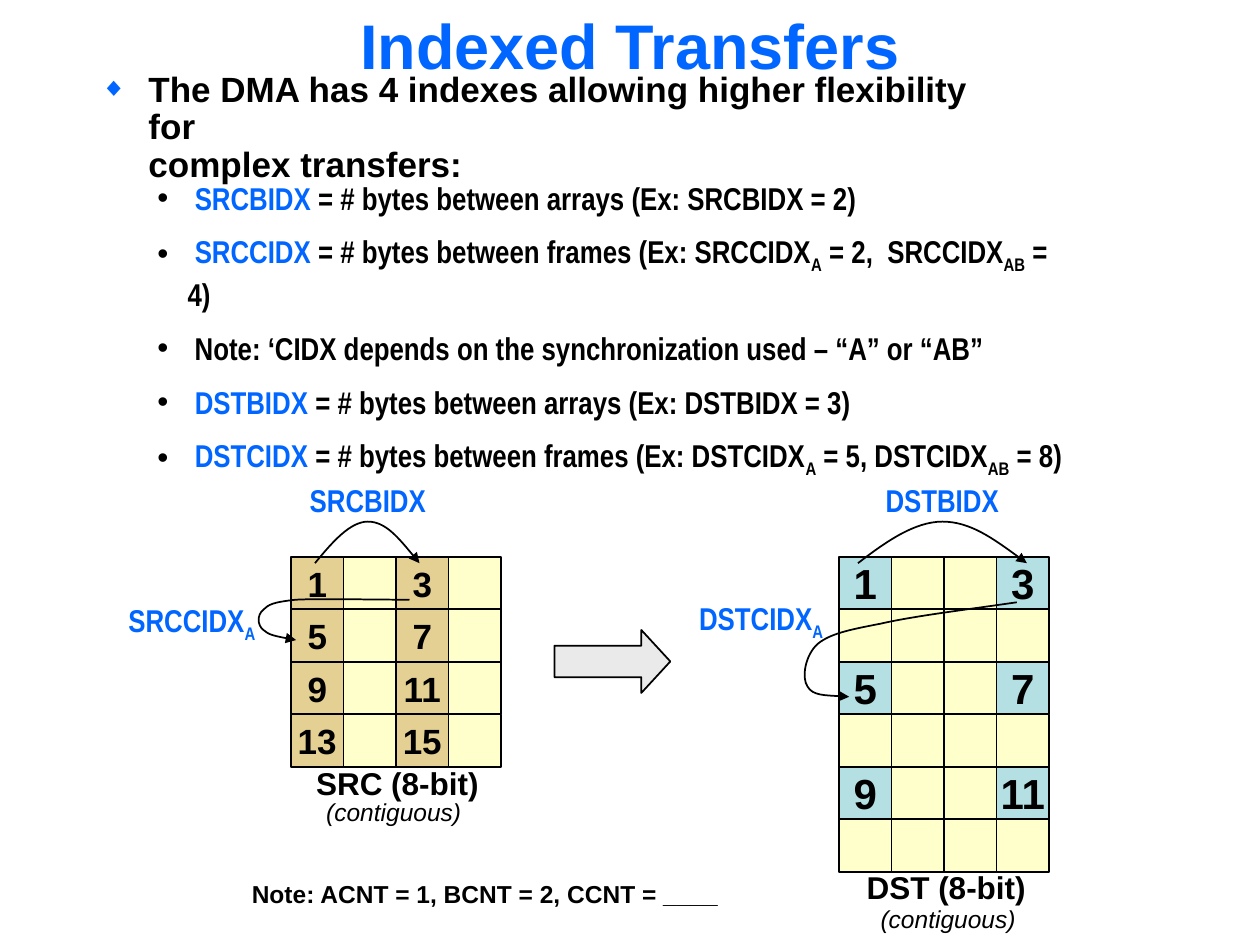
from itertools import count

from lxml.etree import SubElement
from pptx import Presentation
from pptx.dml.color import RGBColor
from pptx.enum.shapes import MSO_SHAPE
from pptx.enum.text import MSO_ANCHOR, PP_ALIGN
from pptx.oxml.ns import qn
from pptx.util import Inches, Pt

BLUE = RGBColor(0x00, 0x66, 0xFF)
BLACK = RGBColor(0x00, 0x00, 0x00)
YELLOW = RGBColor(0xFF, 0xFF, 0xCC)
TAN = RGBColor(0xE5, 0xD0, 0x93)
TEAL = RGBColor(0xB5, 0xE0, 0xE3)
GRAY = RGBColor(0xEA, 0xEA, 0xEA)

WIDE = "Arial"
NARROW = "Arial Narrow"
CELL = 5 / 12
GRID_TOP = 4.42

PLAIN, KEY, SUB = "plain", "key", "sub"

INDEX_NOTES = [
    [(" ", PLAIN), ("SRCBIDX", KEY), (" = # bytes between arrays (Ex: SRCBIDX = 2)", PLAIN)],
    [(" ", PLAIN), ("SRCCIDX", KEY), (" = # bytes between frames (Ex: SRCCIDX", PLAIN),
     ("A", SUB), (" = 2,  SRCCIDX", PLAIN), ("AB", SUB), (" = 4)", PLAIN)],
    [(" Note: ‘CIDX depends on the synchronization used – “A” or “AB”", PLAIN)],
    [(" ", PLAIN), ("DSTBIDX", KEY), (" = # bytes between arrays (Ex: DSTBIDX = 3)", PLAIN)],
    [(" ", PLAIN), ("DSTCIDX", KEY), (" = # bytes between frames (Ex: DSTCIDX", PLAIN),
     ("A", SUB), (" = 5, DSTCIDX", PLAIN), ("AB", SUB), (" = 8)", PLAIN)],
]

LABELS = [
    ((2.41, 6.07, 1.49, 0.34), "SRC (8-bit)", "", WIDE, 18, BLACK, False),
    ((6.78, 6.9, 1.47, 0.34), "DST (8-bit)", "", WIDE, 18, BLACK, False),
    ((2.36, 3.83, 1.12, 0.34), "SRCBIDX", "", NARROW, 18, BLUE, False),
    ((0.92, 4.75, 1.22, 0.34), "SRCCIDX", "A", NARROW, 18, BLUE, False),
    ((6.93, 3.83, 1.1, 0.34), "DSTBIDX", "", NARROW, 18, BLUE, False),
    ((5.45, 4.74, 1.2, 0.34), "DSTCIDX", "A", NARROW, 18, BLUE, False),
    ((1.9, 6.97, 3.92, 0.29), "Note: ACNT = 1, BCNT = 2, CCNT = ____", "", WIDE, 14, BLACK, False),
    ((2.49, 6.32, 1.28, 0.29), "(contiguous)", "", WIDE, 14, BLACK, True),
    ((6.89, 7.17, 1.28, 0.29), "(contiguous)", "", WIDE, 14, BLACK, True),
]

INDEX_CURVES = [
    [(2.5, 4.47), (2.64, 4.3), (2.78, 4.14), (2.92, 4.14),
     (3.06, 4.14), (3.19, 4.3), (3.33, 4.47)],
    [(3.25, 4.76), (2.9, 4.76), (2.55, 4.75), (2.35, 4.76),
     (2.16, 4.78), (2.13, 4.8), (2.09, 4.84),
     (2.04, 4.88), (2.04, 4.96), (2.09, 5),
     (2.13, 5.04), (2.24, 5.06), (2.35, 5.08)],
    [(6.81, 4.47), (7.03, 4.3), (7.26, 4.14), (7.48, 4.14),
     (7.7, 4.14), (7.92, 4.3), (8.15, 4.47)],
    [(8.07, 4.78), (7.66, 4.84), (7.25, 4.89), (6.99, 4.95),
     (6.73, 5), (6.59, 5.03), (6.49, 5.11),
     (6.39, 5.2), (6.36, 5.38), (6.41, 5.45),
     (6.45, 5.52), (6.59, 5.52), (6.74, 5.53)],
]


def set_font(paragraph, name, size, color, bold=True, italic=False):
    font = paragraph.font
    font.name, font.size, font.bold, font.italic = name, Pt(size), bold, italic
    font.color.rgb = color


def add_subscript(paragraph, text):
    run = paragraph.add_run()
    run.text = text
    run.font._element.set("baseline", "-25000")


def set_bullet(paragraph, symbol, hang, color=None, percent=100):
    properties = paragraph._p.get_or_add_pPr()
    properties.set("marL", str(Inches(hang)))
    properties.set("indent", str(-Inches(hang)))
    if color is not None:
        bullet_color = SubElement(properties, qn("a:buClr"))
        SubElement(bullet_color, qn("a:srgbClr"), val=str(color))
    SubElement(properties, qn("a:buSzPct"), val=str(percent * 1000))
    SubElement(properties, qn("a:buFont"), typeface=WIDE)
    SubElement(properties, qn("a:buChar"), char=symbol)


def add_text_frame(slide, box, wrap):
    frame = slide.shapes.add_textbox(*map(Inches, box)).text_frame
    frame.word_wrap = wrap
    return frame


def add_title(slide):
    title = slide.shapes.title
    title.left, title.top, title.width, title.height = map(Inches, (0, 0, 10, 0.81))
    title.text_frame.text = "Indexed Transfers"
    title.text_frame.vertical_anchor = MSO_ANCHOR.MIDDLE
    title.text_frame.margin_bottom = Inches(0.16)
    heading = title.text_frame.paragraphs[0]
    heading.alignment = PP_ALIGN.CENTER
    set_font(heading, WIDE, 36, BLUE)


def add_intro(slide):
    frame = add_text_frame(slide, (0.7, 0.67, 7.28, 0.7), True)
    frame.vertical_anchor = MSO_ANCHOR.MIDDLE
    intro = frame.paragraphs[0]
    intro.text = "The DMA has 4 indexes allowing higher flexibility for\vcomplex transfers:"
    intro.line_spacing = 0.9
    set_bullet(intro, "◆", 0.38, BLUE, 75)
    set_font(intro, WIDE, 20, BLACK)


def add_index_notes(slide):
    frame = add_text_frame(slide, (1.15, 1.37, 7.38, 2.21), True)
    for number, pieces in enumerate(INDEX_NOTES):
        note = frame.add_paragraph() if number else frame.paragraphs[0]
        if number:
            note.space_before = Pt(9)
        set_bullet(note, "•", 0.24)
        set_font(note, NARROW, 18, BLACK)
        for text, style in pieces:
            if style == SUB:
                add_subscript(note, text)
                continue
            run = note.add_run()
            run.text = text
            if style == KEY:
                run.font.color.rgb = BLUE


def add_label(slide, box, text, subscript, font, size, color, italic):
    label = add_text_frame(slide, box, False).paragraphs[0]
    label.text = text
    label.line_spacing = 0.8
    set_font(label, font, size, color, not italic, italic)
    if subscript:
        add_subscript(label, subscript)


def add_outlined(shapes, preset, box, fill):
    shape = shapes.add_shape(preset, *map(Inches, box))
    shape.shadow.inherit = False
    shape.fill.solid()
    shape.fill.fore_color.rgb = fill
    shape.line.color.rgb = BLACK
    shape.line.width = Pt(1)
    return shape


def add_memory_grid(slide, left, rows, used_columns, row_step, used_fill, size):
    cells = slide.shapes.add_group_shape().shapes
    values = count(1, 2)
    for row in range(rows):
        for column in range(4):
            used = row % row_step == 0 and column in used_columns
            box = (left + column * CELL, GRID_TOP + row * CELL, CELL, CELL)
            cell = add_outlined(cells, MSO_SHAPE.RECTANGLE, box, used_fill if used else YELLOW)
            if used:
                frame = cell.text_frame
                frame.margin_left = frame.margin_right = 0
                frame.margin_top = frame.margin_bottom = 0
                frame.word_wrap = False
                value = frame.paragraphs[0]
                value.text = str(next(values))
                value.alignment = PP_ALIGN.CENTER
                set_font(value, WIDE, size, BLACK)


def add_curved_arrow(slide, points):
    start, *controls = [(Inches(x), Inches(y)) for x, y in points]
    builder = slide.shapes.build_freeform(*start)
    builder.add_line_segments(controls, close=False)
    curve = builder.convert_to_shape()
    curve.shadow.inherit = False
    curve.fill.background()
    curve.line.color.rgb = BLACK
    curve.line.width = Pt(1)
    SubElement(curve.line._get_or_add_ln(), qn("a:tailEnd"), type="triangle")
    outline = next(curve._element.iter(qn("a:path")))
    segments = outline.findall(qn("a:lnTo"))
    for first in range(0, len(segments), 3):
        bezier = SubElement(outline, qn("a:cubicBezTo"))
        for segment in segments[first:first + 3]:
            bezier.append(segment[0])
            outline.remove(segment)


def main():
    presentation = Presentation()
    presentation.slide_width, presentation.slide_height = Inches(10), Inches(7.5)
    slide = presentation.slides.add_slide(presentation.slide_layouts[5])
    add_title(slide)
    add_memory_grid(slide, 2.31, 4, (0, 2), 1, TAN, 20)
    add_memory_grid(slide, 6.66, 6, (0, 3), 2, TEAL, 24)
    add_intro(slide)
    add_index_notes(slide)
    transfer = add_outlined(slide.shapes, MSO_SHAPE.RIGHT_ARROW, (4.4, 5, 0.92, 0.5), GRAY)
    transfer.adjustments[1] = 0.46
    for points in INDEX_CURVES:
        add_curved_arrow(slide, points)
    for label in LABELS:
        add_label(slide, *label)
    presentation.save("out.pptx")


if __name__ == "__main__":
    main()
